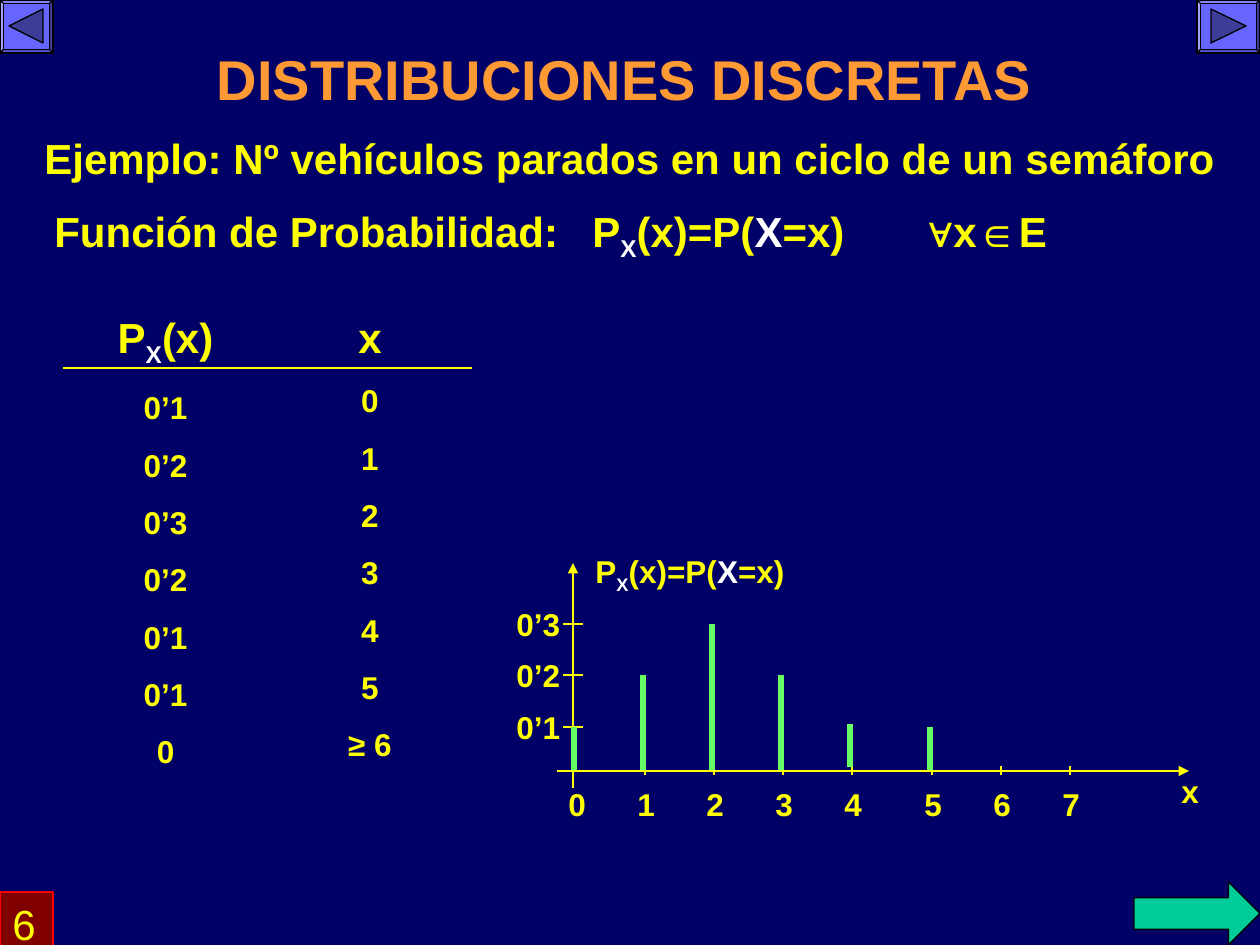
from dataclasses import dataclass

import pptx
import pptx.dml.color
import pptx.enum.shapes
import pptx.enum.text
import pptx.oxml
import pptx.oxml.ns
import pptx.util

EMU_PER_PX = 914400 / 126
SHAPES = pptx.enum.shapes.MSO_SHAPE
ALIGN = pptx.enum.text.PP_ALIGN
ANCHOR = pptx.enum.text.MSO_ANCHOR


@dataclass(frozen=True)
class Theme:
    font: str = "Arial"
    background: str = "000066"
    title: str = "FF9933"
    text: str = "FFFF00"
    variable: str = "FFFFFF"
    bar: str = "66FF66"
    button: str = "6666FF"
    button_sign: str = "3D3D99"
    outline: str = "000000"
    arrow: str = "00CC99"
    badge: str = "800000"
    badge_line: str = "FF0000"
    title_size: int = 32
    body_size: int = 24
    small_size: int = 18
    thin: float = 0.75
    thick: float = 3


THEME = Theme()


@dataclass(frozen=True)
class Box:
    left: int
    top: int
    width: int
    height: int


@dataclass(frozen=True)
class Piece:
    text: str
    color: str = THEME.text
    subscript: bool = False
    bold: bool = True


@dataclass(frozen=True)
class Bar:
    x: int
    level: int
    lift: int = 0


@dataclass(frozen=True)
class NavButton:
    box: Box
    sign: tuple[tuple[int, int], ...]


def px(length: float) -> pptx.util.Emu:
    return pptx.util.Emu(round(length * EMU_PER_PX))


def rgb(color: str) -> pptx.dml.color.RGBColor:
    return pptx.dml.color.RGBColor.from_string(color)


def place(box: Box) -> list[pptx.util.Emu]:
    return [px(n) for n in (box.left, box.top, box.width, box.height)]


def paint(shape, fill: str, line: str) -> None:
    shape.shadow.inherit = False
    shape.fill.solid()
    shape.fill.fore_color.rgb = rgb(fill)
    shape.line.color.rgb = rgb(line)
    shape.line.width = pptx.util.Pt(THEME.thin)


def write(frame, paragraphs, *, sizes=(THEME.small_size,), color=THEME.text,
          bold=True, align=ALIGN.LEFT, anchor=ANCHOR.TOP, tabs=()) -> None:
    """Each paragraph is a string or a list of pieces; the last size repeats."""
    frame.word_wrap = True
    frame.vertical_anchor = anchor
    for index, content in enumerate(paragraphs):
        paragraph = frame.add_paragraph() if index else frame.paragraphs[0]
        size = sizes[min(index, len(sizes) - 1)]
        paragraph.alignment = align
        if anchor == ANCHOR.TOP:
            paragraph.space_before = pptx.util.Pt(round(size * 0.625, 1))
        if tabs:
            tab_list = pptx.oxml.parse_xml(
                f'<a:tabLst {pptx.oxml.ns.nsdecls("a")}>'
                + "".join(f'<a:tab pos="{px(tab)}" algn="l"/>' for tab in tabs)
                + "</a:tabLst>")
            paragraph._p.get_or_add_pPr().append(tab_list)
        pieces = [Piece(content, color, bold=bold)] if isinstance(content, str) else content
        for piece in pieces:
            run = paragraph.add_run()
            run.text = piece.text
            run.font.name = THEME.font
            run.font.size = pptx.util.Pt(size)
            run.font.bold = piece.bold
            run.font.color.rgb = rgb(piece.color)
            if piece.subscript:
                run._r.get_or_add_rPr().set("baseline", "-25000")


def add_text(slide, box: Box, *paragraphs, **text_format) -> None:
    write(slide.shapes.add_textbox(*place(box)).text_frame, paragraphs, **text_format)


def add_line(slide, start: tuple[int, int], end: tuple[int, int], *, color: str = THEME.text,
             width: float = THEME.thin, arrow: bool = False) -> None:
    line = slide.shapes.add_connector(pptx.enum.shapes.MSO_CONNECTOR.STRAIGHT,
                                      *[px(n) for n in (*start, *end)])
    line.line.color.rgb = rgb(color)
    line.line.width = pptx.util.Pt(width)
    namespace = pptx.oxml.ns.nsdecls("a")
    if arrow:
        line.line._get_or_add_ln().append(
            pptx.oxml.parse_xml(f'<a:tailEnd {namespace} type="triangle"/>'))
    line._element.spPr.append(pptx.oxml.parse_xml(f"<a:effectLst {namespace}/>"))


def add_nav_button(slide, button: NavButton) -> None:
    face = slide.shapes.add_shape(SHAPES.BEVEL, *place(button.box))
    face.adjustments[0] = 0.07
    paint(face, THEME.button, THEME.outline)
    first, *others = [(px(x), px(y)) for x, y in button.sign]
    outline = slide.shapes.build_freeform(*first)
    outline.add_line_segments(others, close=True)
    paint(outline.convert_to_shape(), THEME.button_sign, THEME.outline)


def probability(ending: str = "") -> list[Piece]:
    return [Piece("P"), Piece("X", THEME.variable, subscript=True), Piece("(x)" + ending)]


def probability_equation() -> list[Piece]:
    return [*probability("=P("), Piece("X", THEME.variable), Piece("=x)")]


def tick_x(value: int) -> int:
    return 576 + 69 * value + (11 if value >= 5 else 0)


def level_y(tenths: int) -> int:
    return 727 - round(51.5 * (tenths - 1))


def add_distribution_table(slide) -> None:
    sizes = (THEME.body_size, THEME.small_size)
    add_text(slide, Box(63, 305, 205, 472), probability(),
             "0’1", "0’2", "0’3", "0’2", "0’1", "0’1", "0", sizes=sizes, align=ALIGN.CENTER)
    add_line(slide, (63, 368), (472, 368))
    add_text(slide, Box(299, 305, 142, 466), "x", *map(str, range(6)), "≥ 6",
             sizes=sizes, align=ALIGN.CENTER)


def add_probability_plot(slide) -> None:
    base = 771
    # Vertical axis
    add_line(slide, (573, 788), (573, 563), arrow=True)
    for tenths in (1, 2, 3):
        y = level_y(tenths)
        add_line(slide, (563, y), (583, y))
        add_text(slide, Box(504, y - 25, 120, 50), f"0’{tenths}")
    add_text(slide, Box(583, 546, 297, 55), probability_equation())
    # Horizontal axis
    add_line(slide, (557, base), (1189, base), arrow=True)
    for value in range(8):
        x = tick_x(value)
        if value:
            add_line(slide, (x, base - 5), (x, base + 4))
        add_text(slide, Box(x - 20, 779, 49, 50), str(value))
    add_text(slide, Box(1169, 766, 59, 50), "x")
    # Probability bars
    bars = (Bar(0, 1), Bar(1, 2), Bar(2, 3), Bar(3, 2), Bar(4, 1, lift=3), Bar(5, 1))
    for bar in bars:
        x = tick_x(bar.x) - 2
        add_line(slide, (x, base - 1 - bar.lift), (x, level_y(bar.level) - bar.lift),
                 color=THEME.bar, width=THEME.thick)


def main() -> None:
    deck = pptx.Presentation()
    deck.slide_width, deck.slide_height = px(1260), px(945)
    slide = deck.slides.add_slide(deck.slide_layouts[6])
    slide.background.fill.solid()
    slide.background.fill.fore_color.rgb = rgb(THEME.background)

    # Headings
    add_text(slide, Box(157, 42, 935, 73), "DISTRIBUCIONES DISCRETAS",
             sizes=(THEME.title_size,), color=THEME.title, align=ALIGN.CENTER,
             anchor=ANCHOR.MIDDLE)
    add_text(slide, Box(32, 126, 1228, 63),
             "Ejemplo: Nº vehículos parados en un ciclo de un semáforo", sizes=(THEME.body_size,))
    add_text(slide, Box(42, 199, 1124, 71),
             [Piece("Función de Probabilidad:\t"), *probability_equation(), Piece("\t"),
              Piece("∀", bold=False), Piece("x"), Piece("∈", bold=False), Piece("E")],
             sizes=(THEME.body_size,), tabs=(538, 874))

    # Content
    add_distribution_table(slide)
    add_probability_plot(slide)

    # Navigation
    for button in (NavButton(Box(1197, 0, 63, 53), ((1211, 9), (1246, 26), (1211, 43))),
                   NavButton(Box(0, 0, 53, 53), ((9, 26), (43, 9), (43, 43)))):
        add_nav_button(slide, button)
    next_arrow = slide.shapes.add_shape(SHAPES.RIGHT_ARROW, *place(Box(1134, 882, 126, 63)))
    paint(next_arrow, THEME.arrow, THEME.outline)
    page_badge = slide.shapes.add_shape(SHAPES.RECTANGLE, *place(Box(0, 892, 53, 63)))
    paint(page_badge, THEME.badge, THEME.badge_line)
    write(page_badge.text_frame, ["6"], sizes=(THEME.body_size,), bold=False)

    deck.save("out.pptx")


if __name__ == "__main__":
    main()
